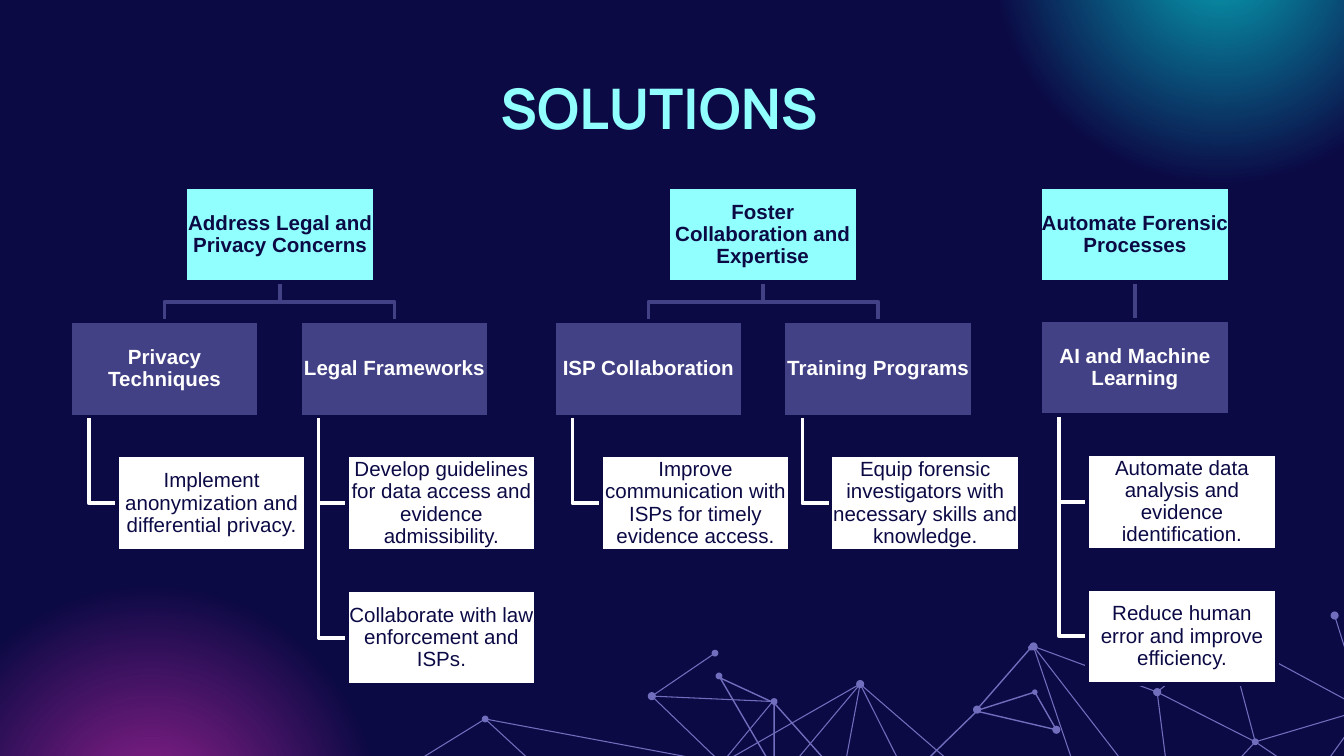
from lxml import etree
from pptx import Presentation
from pptx.dml.color import RGBColor
from pptx.enum.shapes import MSO_CONNECTOR, MSO_SHAPE
from pptx.enum.text import MSO_ANCHOR, PP_ALIGN
from pptx.oxml import parse_xml
from pptx.oxml.ns import qn
from pptx.util import Inches, Pt

COLORS = {name: RGBColor.from_string(value) for name, value in {
    "navy": "0C0A45", "aqua": "90FFFD", "indigo": "434186",
    "lilac": "716EBE", "white": "FFFFFF"}.items()}
GLOWS = {"07A0B3": (6.69, -2.72), "942290": (-1.27, 3.66)}

# Widescreen page, 16:9
deck = Presentation()
deck.slide_width = Inches(10)
deck.slide_height = Inches(10 * 9 / 16)
page = deck.slides.add_slide(deck.slide_layouts[6])
page.background.fill.solid()
page.background.fill.fore_color.rgb = COLORS["navy"]


def add_path(points, color, weight):
    """Draw an open line through points given in inches."""
    points = [(Inches(x), Inches(y)) for x, y in points]
    builder = page.shapes.build_freeform(*points[0])
    builder.add_line_segments(points[1:], close=False)
    line = builder.convert_to_shape()
    line.shadow.inherit = False
    line.fill.background()
    line.line.color.rgb = COLORS[color]
    line.line.width = Pt(weight)


def add_box(left, top, text, fill, ink, bold):
    """Draw one labelled box of the tree."""
    box = page.shapes.add_shape(MSO_SHAPE.RECTANGLE, Inches(left), Inches(top),
                                Inches(BOX_WIDTH), Inches(BOX_HEIGHT))
    box.shadow.inherit = False
    box.fill.solid()
    box.fill.fore_color.rgb = COLORS[fill]
    box.line.color.rgb = COLORS["navy"]
    box.line.width = Pt(2)
    frame = box.text_frame
    frame.word_wrap = True
    frame.vertical_anchor = MSO_ANCHOR.MIDDLE
    frame.margin_left = frame.margin_right = Inches(0.01)
    frame.margin_top = frame.margin_bottom = Inches(0.01)
    frame.text = text
    para = frame.paragraphs[0]
    para.alignment = PP_ALIGN.CENTER
    para.line_spacing = 0.9
    font = para.runs[0].font
    font.name, font.size, font.bold = "Arial", Pt(11), bold
    font.color.rgb = COLORS[ink]


# Network of thin lines along the bottom
network = [
    (0.75, [(5.35, 5.04), (5.76, 5.23), (6.49, 6.05)]),
    (0.75, [(5.76, 5.23), (5.76, 5.75), (6.49, 6.05), (7.28, 5.28)]),
    (0.75, [(7.67, 4.82), (7.26, 5.29), (7.86, 5.43), (7.7, 5.15), (7.26, 5.29)]),
    (0.75, [(5.35, 5.03), (5.77, 5.75)]),
    (0.56, [(11.66, 4.83), (10.15, 5.28), (9.13, 4.73), (8.61, 5.15), (7.69, 4.81),
            (8.05, 5.87), (7.14, 5.73), (6.4, 5.09), (5.37, 5.68), (3.61, 5.35),
            (2.93, 5.77)]),
    (0.56, [(9.34, 5.52), (10.15, 5.28), (9.93, 4.58)]),
    (0.56, [(10.4, 6.85), (9.77, 5.81), (10.15, 5.28), (10.31, 5.81), (9.77, 5.81),
            (9.34, 5.52), (8.74, 6.17), (8.61, 5.15), (9.34, 5.52), (9.13, 4.73)]),
    (0.56, [(9.81, 6.57), (9.77, 5.81), (9.56, 6.22), (8.74, 6.17), (7.69, 4.81)]),
    (0.56, [(7.14, 5.73), (7.27, 6.82), (6.4, 5.09), (6.09, 6.75)]),
    (0.56, [(3.61, 5.35), (4.37, 6.05), (5.37, 5.68), (5.75, 5.22), (4.85, 5.18),
            (5.37, 5.68), (5.37, 6.32), (6.4, 5.09)]),
    (0.56, [(4.85, 5.18), (5.32, 4.86)]),
]
for weight, points in network:
    add_path(points, "lilac", weight)

# Network nodes, grouped by diameter
nodes = {
    0.03: [(7.67, 4.82), (7.7, 5.15)],
    0.04: [(9.34, 5.52), (5.32, 4.86), (3.61, 5.35), (5.76, 5.22), (5.35, 5.03)],
    0.05: [(7.27, 5.28), (7.86, 5.43), (9.93, 4.58), (8.61, 5.15), (7.69, 4.81),
           (6.4, 5.09), (4.85, 5.18)],
}
for size, centers in nodes.items():
    for x, y in centers:
        node = page.shapes.add_shape(MSO_SHAPE.OVAL, Inches(x - size / 2),
                                     Inches(y - size / 2), Inches(size), Inches(size))
        node.shadow.inherit = False
        node.fill.solid()
        node.fill.fore_color.rgb = COLORS["lilac"]
        node.line.color.rgb = COLORS["lilac"]
        node.line.width = Pt(0.75)

# Corner glows fading to transparent
for color, (left, top) in GLOWS.items():
    glow = page.shapes.add_shape(MSO_SHAPE.OVAL, Inches(left), Inches(top),
                                 Inches(4.78), Inches(4.78))
    glow.shadow.inherit = False
    glow.line.fill.background()
    clear = f'<a:srgbClr val="{color}"><a:alpha val="0"/></a:srgbClr>'
    gradient = parse_xml(
        '<a:gradFill xmlns:a="http://schemas.openxmlformats.org/drawingml/2006/main"'
        f' rotWithShape="1"><a:gsLst><a:gs pos="0"><a:srgbClr val="{color}"/></a:gs>'
        f'<a:gs pos="50000">{clear}</a:gs><a:gs pos="100000">{clear}</a:gs></a:gsLst>'
        '<a:path path="circle"><a:fillToRect l="50000" t="50000" r="50000" b="50000"/>'
        '</a:path></a:gradFill>')
    glow._element.spPr.find(qn("a:prstGeom")).addnext(gradient)

# Title
title = page.shapes.add_textbox(Inches(0.69), Inches(0.45), Inches(8.43), Inches(0.63))
frame = title.text_frame
frame.word_wrap = True
frame.margin_left = frame.margin_right = Inches(0.1)
frame.margin_top = frame.margin_bottom = Inches(0.1)
frame.text = "SOLUTIONS"
para = frame.paragraphs[0]
para.alignment = PP_ALIGN.CENTER
font = para.runs[0].font
font.name, font.size, font.bold = "Manrope", Pt(30), True
font.color.rgb = COLORS["aqua"]

# Trees: root left and text, branch top, branches with their leaves
BOX_WIDTH, BOX_HEIGHT = 1.41, 0.71
ROOT_TOP, LEVEL_STEP = 1.39, 1.0
STEM_INSET, LEAF_INDENT = 0.14, 0.35
trees = [
    (1.38, "Address Legal and Privacy Concerns", 2.39, [
        (0.52, "Privacy Techniques",
         ["Implement anonymization and differential privacy."]),
        (2.23, "Legal Frameworks",
         ["Develop guidelines for data access and evidence admissibility.",
          "Collaborate with law enforcement and ISPs."])]),
    (4.97, "Foster Collaboration and Expertise", 2.39, [
        (4.12, "ISP Collaboration",
         ["Improve communication with ISPs for timely evidence access."]),
        (5.83, "Training Programs",
         ["Equip forensic investigators with necessary skills and knowledge."])]),
    (7.74, "Automate Forensic Processes", 2.38, [
        (7.74, "AI and Machine Learning",
         ["Automate data analysis and evidence identification.",
          "Reduce human error and improve efficiency."])]),
]
for root_left, root_text, branch_top, branches in trees:
    root_x, root_bottom = root_left + BOX_WIDTH / 2, ROOT_TOP + BOX_HEIGHT
    for branch_left, _, _ in branches:
        branch_x = branch_left + BOX_WIDTH / 2
        if branch_x == root_x:
            link = page.shapes.add_connector(
                MSO_CONNECTOR.STRAIGHT, Inches(root_x), Inches(root_bottom),
                Inches(branch_x), Inches(branch_top))
            link.line.color.rgb = COLORS["indigo"]
            link.line.width = Pt(2)
            etree.SubElement(link._element.spPr, qn("a:effectLst"))
        else:
            middle = (root_bottom + branch_top) / 2
            add_path([(root_x, root_bottom), (root_x, middle), (branch_x, middle),
                      (branch_x, branch_top)], "indigo", 2)
    add_box(root_left, ROOT_TOP, root_text, "aqua", "navy", True)

    for branch_left, branch_text, leaves in branches:
        stem_x, leaf_left = branch_left + STEM_INSET, branch_left + LEAF_INDENT
        leaf_tops = [branch_top + LEVEL_STEP * (row + 1) for row in range(len(leaves))]
        for leaf_top in leaf_tops:
            leaf_y = leaf_top + BOX_HEIGHT / 2
            add_path([(stem_x, branch_top + BOX_HEIGHT), (stem_x, leaf_y),
                      (leaf_left, leaf_y)], "white", 2)
        add_box(branch_left, branch_top, branch_text, "indigo", "white", True)
        for leaf_top, leaf_text in zip(leaf_tops, leaves):
            add_box(leaf_left, leaf_top, leaf_text, "white", "navy", False)

deck.save("out.pptx")
